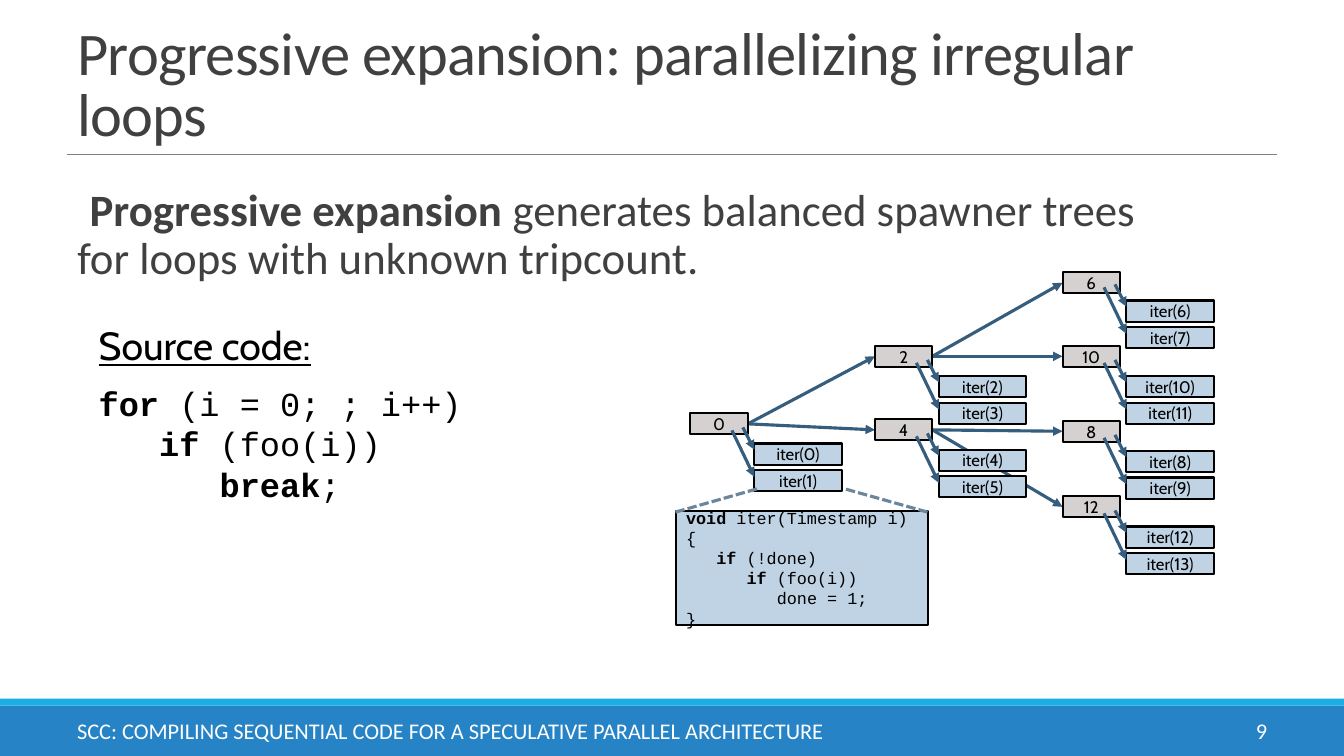
from dataclasses import dataclass

from lxml.etree import SubElement
from pptx import Presentation
from pptx.dml.color import RGBColor
from pptx.enum.dml import MSO_LINE
from pptx.enum.shapes import MSO_CONNECTOR, MSO_SHAPE
from pptx.enum.text import MSO_ANCHOR, MSO_AUTO_SIZE, PP_ALIGN
from pptx.oxml.ns import qn
from pptx.shapes.autoshape import Shape
from pptx.shapes.connector import Connector
from pptx.shapes.shapetree import GroupShapes, SlideShapes
from pptx.util import Pt

Shapes = SlideShapes | GroupShapes
Point = tuple[float, float]
Bounds = tuple[float, float, float, float]
Insets = tuple[float, float, float, float]

BLACK, WHITE, GREY = "000000", "FFFFFF", "404040"
SPAWNER_FILL, ITER_FILL, ARROW = "D5D1D1", "BFD3E4", "355D7E"
SPAWNER_WIDTH, ITER_WIDTH, BOX_HEIGHT = 41, 62.6, 15.1
ITER_OFFSET, ITER_STEP = 45.6, 19
LEFT_SIDE, RIGHT_SIDE = 1, 3


@dataclass(frozen=True)
class Font:
    name: str
    size: float
    color: str = BLACK


@dataclass(frozen=True)
class Line:
    text: str  # *stars* enclose bold words
    indent: float = 0


@dataclass(frozen=True)
class Spawner:
    number: int
    left: float
    top: float
    iterations: tuple[int, int]
    drop: float = 21.6  # from the top of the spawner to its first iteration

    @property
    def middle(self) -> float:
        return self.top + BOX_HEIGHT / 2


def rgb(color: str) -> RGBColor:
    return RGBColor.from_string(color)


def write(box: Shape, lines: list[Line], font: Font,
          align: PP_ALIGN = PP_ALIGN.LEFT,
          anchor: MSO_ANCHOR = MSO_ANCHOR.TOP,
          insets: Insets = (7.2, 3.6, 7.2, 3.6)) -> None:
    frame = box.text_frame
    frame.word_wrap = True
    frame.auto_size = MSO_AUTO_SIZE.NONE
    frame.vertical_anchor = anchor
    frame.margin_left, frame.margin_top, frame.margin_right, frame.margin_bottom = map(Pt, insets)
    for index, line in enumerate(lines):
        para = frame.add_paragraph() if index else frame.paragraphs[0]
        para.alignment = align
        para.font.name, para.font.size = font.name, Pt(font.size)
        para.font.color.rgb = rgb(font.color)
        if line.indent:
            para._p.get_or_add_pPr().set("marL", str(Pt(line.indent)))
        for position, words in enumerate(line.text.split("*")):
            if words:
                span = para.add_run()
                span.text = words
                if position % 2:
                    span.font.bold = True


def add_text(shapes: Shapes, bounds: Bounds, lines: list[Line], font: Font,
             **layout) -> Shape:
    box = shapes.add_textbox(*map(Pt, bounds))
    write(box, lines, font, **layout)
    return box


def add_box(shapes: Shapes, bounds: Bounds, fill: str, outlined: bool = True) -> Shape:
    box = shapes.add_shape(MSO_SHAPE.RECTANGLE, *map(Pt, bounds))
    box.shadow.inherit = False
    box.fill.solid()
    box.fill.fore_color.rgb = rgb(fill)
    if outlined:
        box.line.color.rgb = rgb(BLACK)
        box.line.width = Pt(1.5)
    else:
        box.line.fill.background()
    return box


def add_label_box(shapes: Shapes, bounds: Bounds, fill: str, label: str) -> Shape:
    box = add_box(shapes, bounds, fill)
    write(box, [Line(label)], Font("Cabin", 12), align=PP_ALIGN.CENTER,
          anchor=MSO_ANCHOR.MIDDLE, insets=(7.2, 0, 7.2, 0))
    return box


def add_line(shapes: Shapes, start: Point, end: Point, color: str, width: float) -> Connector:
    line = shapes.add_connector(MSO_CONNECTOR.STRAIGHT, *map(Pt, start + end))
    line.line.color.rgb = rgb(color)
    line.line.width = Pt(width)
    SubElement(line._element.spPr, qn("a:effectLst"))
    return line


def add_arrow(shapes: Shapes, start: Point, end: Point) -> Connector:
    arrow = add_line(shapes, start, end, ARROW, 2.25)
    SubElement(arrow.line._get_or_add_ln(), qn("a:tailEnd"), type="triangle")
    return arrow


def add_spawner(shapes: Shapes, spawner: Spawner) -> Shape:
    """Draw a spawner with its two iterations; return the spawner's box."""
    group = shapes.add_group_shape().shapes
    left, first_top = spawner.left, spawner.top + spawner.drop
    box = add_label_box(group, (left, spawner.top, SPAWNER_WIDTH, BOX_HEIGHT),
                        SPAWNER_FILL, str(spawner.number))
    for row, iteration in enumerate(spawner.iterations):
        bounds = (left + ITER_OFFSET, first_top + row * ITER_STEP, ITER_WIDTH, BOX_HEIGHT)
        add_label_box(group, bounds, ITER_FILL, f"iter({iteration})")
    tip = left + ITER_OFFSET
    add_arrow(group, (left + 29.6, first_top - 9.4), (tip, first_top + 23.8))
    add_arrow(group, (left + 37.4, first_top - 11.5), (tip, first_top + 4.4))
    return box


deck = Presentation()
deck.slide_width, deck.slide_height = Pt(960), Pt(540)
page = deck.slides.add_slide(deck.slide_layouts[5])
shapes = page.shapes

# Footer bars and title rule
add_box(shapes, (0, 504, 960, 36), "2683C6", outlined=False)
add_box(shapes, (0, 499, 960, 5), "1CADE4", outlined=False)
add_line(shapes, (48, 110.2), (912, 110.2), "808080", 0.5)

# Title
title = shapes.title
title.left, title.top, title.width, title.height = map(Pt, (48, 39, 864, 71.2))
write(title, [Line("Progressive expansion: parallelizing irregular loops")],
      Font("Calibri", 43.2, GREY), anchor=MSO_ANCHOR.BOTTOM)
heading = title.text_frame.paragraphs[0]
heading.line_spacing = 0.85
heading.runs[0].font._element.set("spc", "-50")

# Statement, with a blank bullet in a hanging indent
statement = add_text(
    shapes, (48, 130.3, 766, 193.7),
    [Line("*Progressive expansion* generates balanced spawner trees "
          "for loops with unknown tripcount.", 7.2)],
    Font("Calibri", 32, GREY), insets=(0, 3.6, 0, 3.6)).text_frame.paragraphs[0]
statement.line_spacing = 0.9
statement.space_before, statement.space_after = Pt(12), Pt(2)
hanging = statement._p.get_or_add_pPr()
hanging.set("indent", str(-Pt(7.2)))
bullet = SubElement(hanging, qn("a:buChar"), char=" ")
hanging.find(qn("a:defRPr")).addprevious(bullet)

# Source code
source = add_text(shapes, (63.4, 226, 208, 41), [Line("Source code:")], Font("Cabin", 28))
source.text_frame.paragraphs[0].font.underline = True
add_text(shapes, (63.4, 270, 355.7, 94.3),
         [Line("*for* (i = 0; ; i++)"), Line("*if* (foo(i))", 43.2), Line("*break*;", 86.4)],
         Font("Courier New", 24))

# Spawner tree: branches lie behind the boxes
LEVELS = (493.2, 625, 759)
spawners = {spawner.number: spawner for spawner in (
    Spawner(0, LEVELS[0], 295.2, (0, 1)),
    Spawner(4, LEVELS[1], 299.5, (4, 5)),
    Spawner(2, LEVELS[1], 247, (2, 3)),
    Spawner(6, LEVELS[2], 194.4, (6, 7), drop=20.2),
    Spawner(10, LEVELS[2], 247, (10, 11)),
    Spawner(8, LEVELS[2], 300.5, (8, 9)),
    Spawner(12, LEVELS[2], 354.5, (12, 13)),
)}
branches = []
for parent, child in ((0, 2), (0, 4), (2, 6), (2, 10), (4, 8), (4, 12)):
    origin, target = spawners[parent], spawners[child]
    branch = add_arrow(shapes, (origin.left + SPAWNER_WIDTH, origin.middle),
                       (target.left, target.middle))
    branches.append((branch, parent, child))
boxes = {number: add_spawner(shapes, spawner) for number, spawner in spawners.items()}
for branch, parent, child in branches:
    branch.begin_connect(boxes[parent], RIGHT_SIDE)
    branch.end_connect(boxes[child], LEFT_SIDE)

# Body of an iteration, with dashed lines to the iteration it explains
body = add_box(shapes, (483, 365, 180, 81.4), ITER_FILL)
write(body,
      [Line("*void* iter(Timestamp i)"), Line("{"), Line("*if* (!done)", 21.6),
       Line("*if* (foo(i))", 43.2), Line("done = 1;", 64.8), Line("}")],
      Font("Courier New", 12), anchor=MSO_ANCHOR.MIDDLE, insets=(7.2, 0, 0, 0))
for corner, end in ((662.5, 603.5), (482.5, 540.7)):
    guide = add_line(shapes, (corner, 365.8), (end, 349.2), "6B859A", 2.25)
    guide.line.dash_style = MSO_LINE.SQUARE_DOT

# Footer text and page number
FOOTER = Font("Calibri", 16, WHITE)
add_text(shapes, (48, 507.6, 595.4, 28.8),
         [Line("SCC: COMPILING SEQUENTIAL CODE FOR A SPECULATIVE PARALLEL ARCHITECTURE")],
         FOOTER, anchor=MSO_ANCHOR.MIDDLE)
add_text(shapes, (809.3, 507.6, 103, 28.8), [Line("9")], FOOTER,
         align=PP_ALIGN.RIGHT, anchor=MSO_ANCHOR.MIDDLE)

deck.save("out.pptx")
